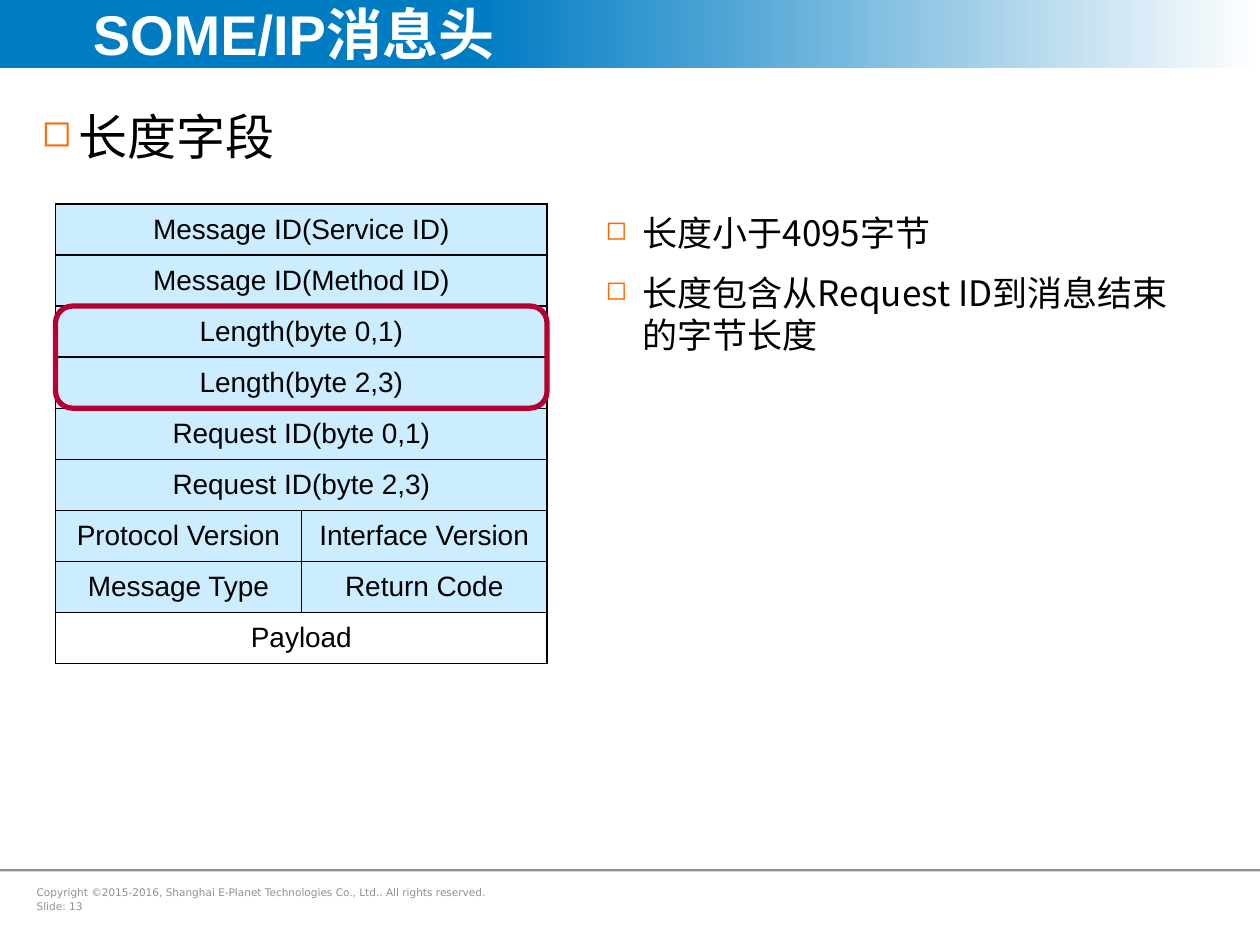
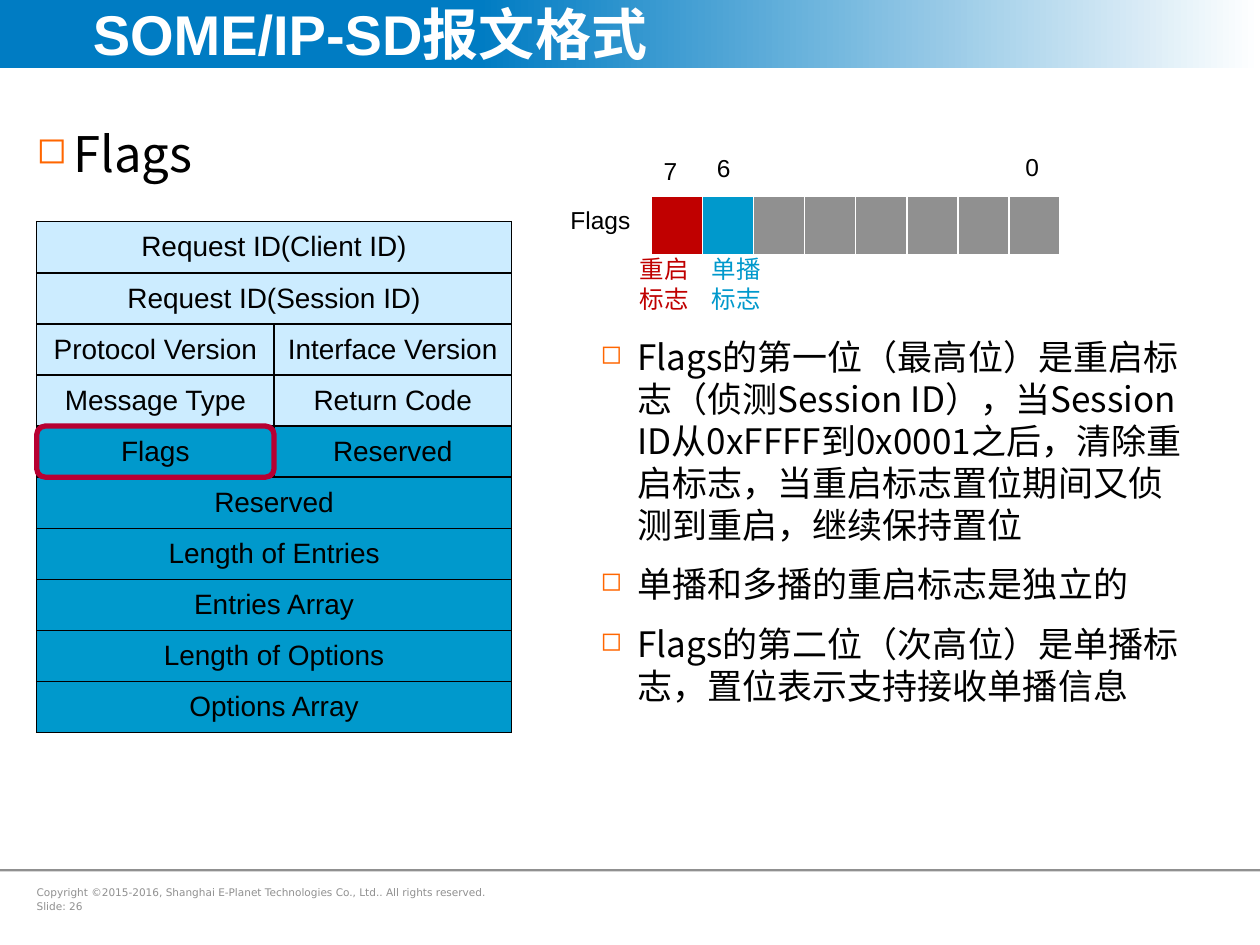
from lxml.etree import SubElement
from pptx import Presentation
from pptx.dml.color import RGBColor
from pptx.enum.shapes import MSO_SHAPE
from pptx.enum.text import MSO_ANCHOR, MSO_AUTO_SIZE, PP_ALIGN
from pptx.oxml.ns import qn
from pptx.util import Cm, Pt

# Shared colours and fonts
BLUE, CYAN, PALE = "007CC3", "0099CC", "CCECFF"
RED, CRIMSON, ORANGE = "C00000", "B70032", "FF6600"
GREY, BLACK, WHITE = "909090", "000000", "FFFFFF"
LATIN, HAN, SMALL = "Arial", "Noto Sans CJK SC", "DejaVu Sans"

# Shared formats
TITLE = dict(name=LATIN, size=Pt(32), bold=True, color=WHITE)
HEAD = dict(name=HAN, size=Pt(28), color=BLACK)
BODY = dict(name=HAN, size=Pt(20), color=BLACK)
CELL = dict(name=LATIN, size=Pt(16), color=BLACK)
LABEL = dict(name=LATIN, size=Pt(14), color=BLACK)
FOOT = dict(name=SMALL, size=Pt(6), color=GREY)

WIDTH, HEIGHT = 25.4, 19.05
ROW = 1.03
COPY = ("Copyright ©2015-2016, Shanghai E-Planet Technologies Co., Ltd.. "
        "All rights reserved.")


def rgb(code):
    return RGBColor.from_string(code)


def cms(*vals):
    return [Cm(val) for val in vals]


def node(parent, tag, **attrs):
    return SubElement(parent, qn(tag), attrs)


def write(para, text, form):
    """Add one run, with its East Asian font."""
    run = para.add_run()
    run.text = text
    for key, val in form.items():
        if key == "color":
            run.font.color.rgb = rgb(val)
        else:
            setattr(run.font, key, val)
    node(run._r.get_or_add_rPr(), "a:ea", typeface=HAN)


def setup(frame, **attrs):
    base = dict(word_wrap=True, auto_size=MSO_AUTO_SIZE.NONE)
    for key, val in (base | attrs).items():
        setattr(frame, key, val)


def bullet(para):
    props = para._p.get_or_add_pPr()
    props.set("marL", str(Cm(0.74)))
    props.set("indent", str(-Cm(0.74)))
    node(node(props, "a:buClr"), "a:srgbClr", val=ORANGE)
    node(props, "a:buSzPct", val="75000")
    node(props, "a:buChar", char="◻")


def add_text(slide, box, lines, form, marked=False, gap=0.5, **attrs):
    """Text box; gap is the space between paragraphs in ems."""
    frame = slide.shapes.add_textbox(*cms(*box)).text_frame
    setup(frame, **attrs)
    for num, line in enumerate(lines):
        para = frame.add_paragraph() if num else frame.paragraphs[0]
        if marked:
            bullet(para)
        if num:
            para.space_before = Pt(form["size"].pt * gap)
        if form["name"] == HAN:
            para.line_spacing = Pt(form["size"].pt * 1.2)
        write(para, line, form)


def add_block(slide, box):
    shape = slide.shapes.add_shape(MSO_SHAPE.RECTANGLE, *cms(*box))
    shape.shadow.inherit = False
    shape.line.fill.background()
    return shape


def add_frame(deck, title, number):
    """Slide with title band, rule and footer."""
    slide = deck.slides.add_slide(deck.slide_layouts[5])
    # Title band
    band = add_block(slide, (0, 0, WIDTH, 1.37))
    band.fill.gradient()
    band.fill.gradient_angle = 0
    stops = zip(band.fill.gradient_stops, (0.38, 1), (BLUE, WHITE))
    for stop, pos, code in stops:
        stop.position = pos
        stop.color.rgb = rgb(code)
    head = slide.shapes.title
    head.element.addprevious(band.element)
    head.left, head.top, head.width, head.height = cms(1.55, 0, 20.24, 1.35)
    setup(head.text_frame, vertical_anchor=MSO_ANCHOR.MIDDLE,
          margin_left=Cm(0.32), margin_right=0)
    para = head.text_frame.paragraphs[0]
    para.alignment = PP_ALIGN.LEFT
    write(para, title, TITLE)
    # Footer
    rule = add_block(slide, (0, 17.52, WIDTH, 0.05))
    rule.fill.solid()
    rule.fill.fore_color.rgb = rgb(GREY)
    add_text(slide, (0.74, 17.73, 9.75, 0.82), [COPY, f"Slide: {number}"],
             FOOT, gap=0.2, margin_left=0)
    return slide


def paint(cell, fill, edges):
    """Fill a cell and draw its edges, given as colour and points."""
    props = cell._tc.get_or_add_tcPr()
    for side, (code, width) in zip("LRTB", edges):
        line = node(props, f"a:ln{side}", w=str(Pt(width)))
        node(node(line, "a:solidFill"), "a:srgbClr", val=code)
    if fill:
        cell.fill.solid()
        cell.fill.fore_color.rgb = rgb(fill)
    else:
        cell.fill.background()


def add_grid(slide, rows, cols, box):
    grid = slide.shapes.add_table(rows, cols, *cms(*box)).table
    grid.first_row = grid.horz_banding = False
    return grid


def add_fields(slide, left, top, width, rows, ring):
    """Message layout table; ring gives first row, rows and columns marked."""
    grid = add_grid(slide, len(rows), 2, (left, top, width, ROW * len(rows)))
    for y, (fill, *names) in enumerate(rows):
        for x in range(2):
            paint(grid.cell(y, x), fill, [(BLACK, 1)] * 4)
        if len(names) == 1:
            grid.cell(y, 0).merge(grid.cell(y, 1))
        for x, name in enumerate(names):
            cell = grid.cell(y, x)
            cell.vertical_anchor = MSO_ANCHOR.MIDDLE
            para = cell.text_frame.paragraphs[0]
            para.alignment = PP_ALIGN.CENTER
            write(para, name, CELL)
    # Red ring
    first, count, cols = ring
    mark = slide.shapes.add_shape(
        MSO_SHAPE.ROUNDED_RECTANGLE,
        *cms(left, top + first * ROW, width * cols / 2, count * ROW))
    mark.shadow.inherit = False
    mark.fill.background()
    mark.line.color.rgb = rgb(CRIMSON)
    mark.line.width = Pt(3)


def add_bits(slide, left, top):
    """Flag byte with bit numbers and names."""
    fills = [RED, CYAN] + [GREY] * 6
    grid = add_grid(slide, 1, 8, (left, top, ROW * 8, 1.21))
    edges = [(WHITE, 1)] * 3 + [(WHITE, 3)]
    for x, fill in enumerate(fills):
        paint(grid.cell(0, x), fill, edges)
    # Text, x offset, y offset, width, height, format
    flag = dict(LABEL, name=HAN)
    labels = [
        ("7", 0, -0.94, 0.97, 0.86, LABEL),
        ("6", 1.07, -0.99, 0.97, 0.86, LABEL),
        ("0", 7.29, -1.02, 0.97, 0.86, LABEL),
        ("Flags", -1.88, 0.05, 1.88, 0.86, LABEL),
        ("重启标志", -0.48, 1.04, 1.78, 1.45, dict(flag, color=RED)),
        ("单播标志", 0.97, 1.04, 1.78, 1.45, dict(flag, color=CYAN)),
    ]
    for text, dx, dy, wide, high, form in labels:
        add_text(slide, (left + dx, top + dy, wide, high), [text], form)


def add_head(slide, left, top, text):
    add_text(slide, (left, top, 10, 1.5), [text], HEAD, marked=True,
             margin_left=0, margin_right=0)


def main():
    deck = Presentation()
    deck.slide_width, deck.slide_height = cms(WIDTH, HEIGHT)
    shared = [(PALE, "Protocol Version", "Interface Version"),
              (PALE, "Message Type", "Return Code")]

    # Length field
    slide = add_frame(deck, "SOME/IP消息头", 13)
    add_head(slide, 0.84, 2.03, "长度字段")
    names = ["Message ID(Service ID)", "Message ID(Method ID)",
             "Length(byte 0,1)", "Length(byte 2,3)",
             "Request ID(byte 0,1)", "Request ID(byte 2,3)"]
    rows = [(PALE, name) for name in names] + shared + [(None, "Payload")]
    add_fields(slide, 1.12, 4.11, 9.91, rows, (2, 2, 2))
    add_text(slide, (11.96, 4.14, 12.34, 3.25), [
        "长度小于4095字节",
        "长度包含从Request ID到消息结束的字节长度",
    ], BODY, marked=True)

    # Flags field
    slide = add_frame(deck, "SOME/IP-SD报文格式", 26)
    add_head(slide, 0.74, 2.36, "Flags")
    rows = [(PALE, "Request ID(Client ID)"), (PALE, "Request ID(Session ID)")]
    rows += shared + [(CYAN, "Flags", "Reserved")]
    rows += [(CYAN, name) for name in (
        "Reserved", "Length of Entries", "Entries Array",
        "Length of Options", "Options Array")]
    add_fields(slide, 0.74, 4.47, 9.57, rows, (4, 1, 1))
    add_text(slide, (11.86, 6.63, 12.34, 7.95), [
        "Flags的第一位（最高位）是重启标志（侦测Session ID），"
        "当Session ID从0xFFFF到0x0001之后，清除重启标志，"
        "当重启标志置位期间又侦测到重启，继续保持置位",
        "单播和多播的重启标志是独立的",
        "Flags的第二位（次高位）是单播标志，置位表示支持接收单播信息",
    ], BODY, marked=True)
    add_bits(slide, 13.13, 3.96)

    deck.save("out.pptx")


if __name__ == "__main__":
    main()
